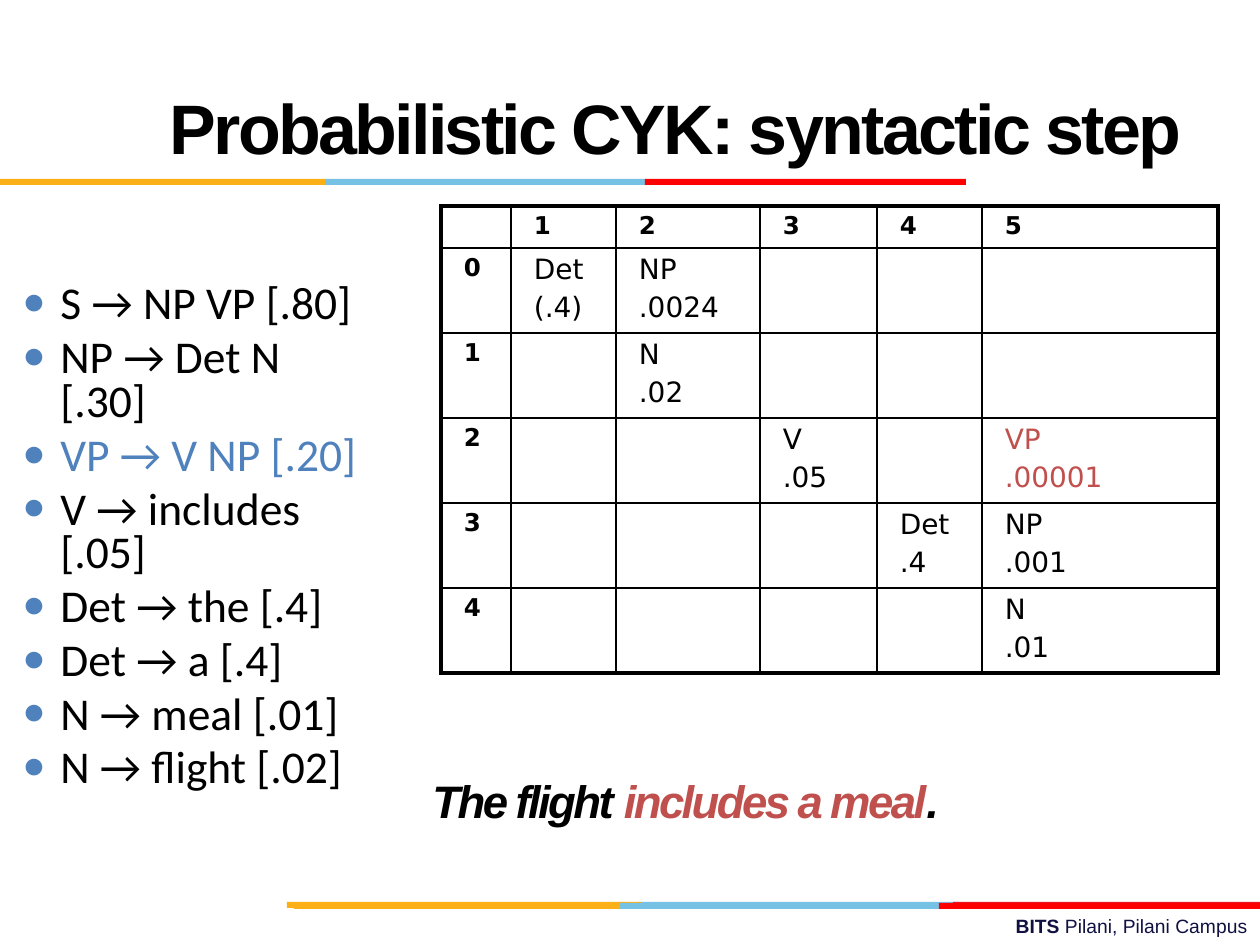
import pptx
import pptx.util
import pptx.dml.color
import pptx.enum.shapes
import pptx.enum.text
import pptx.oxml.ns
from dataclasses import dataclass
from lxml import etree


@dataclass(frozen=True)
class Theme:
    black: str = "000000"
    blue: str = "4F81BD"
    red: str = "C0504D"
    navy: str = "101141"
    gold_bar: str = "FCB017"
    sky_bar: str = "76C2E5"
    crimson_bar: str = "E31C24"
    red_bar: str = "FF0000"
    heading_font: str = "Arial"
    body_font: str = "Calibri"
    table_font: str = "DejaVu Sans"
    title_size: int = 40
    body_size: int = 26
    label_size: int = 14
    entry_size: int = 16
    footer_size: int = 11
    thick: float = 2.25
    thin: float = 1


THEME = Theme()
EMU_PER_PX = 914400 // 126
SLIDE_SIZE = (1260, 945)

TITLE = "Probabilistic CYK: syntactic step"
RULES = [
    ("S → NP VP [.80]", THEME.black),
    ("NP → Det N [.30]", THEME.black),
    ("VP → V NP [.20]", THEME.blue),
    ("V → includes [.05]", THEME.black),
    ("Det → the [.4]", THEME.black),
    ("Det → a [.4]", THEME.black),
    ("N → meal [.01]", THEME.black),
    ("N → flight [.02]", THEME.black),
]
CHART = [
    ["", "1", "2", "3", "4", "5"],
    ["0", "Det\n(.4)", "NP\n.0024", "", "", ""],
    ["1", "", "N\n.02", "", "", ""],
    ["2", "", "", "V\n.05", "", "VP\n.00001"],
    ["3", "", "", "", "Det\n.4", "NP\n.001"],
    ["4", "", "", "", "", "N\n.01"],
]
NEW_ENTRY = (3, 5)
COLUMN_WIDTHS = [70, 105, 144, 117, 105, 236]
ROW_HEIGHTS = [42] + [85] * 5
SENTENCE = [("The flight ", THEME.black), ("includes a meal", THEME.red), (".", THEME.black)]
FOOTER = [("BITS ", True), ("Pilani, Pilani Campus", False)]
BARS = [
    (638, 902, 321, THEME.sky_bar),
    (953, 902, 307, THEME.crimson_bar),
    (287, 902, 355, THEME.gold_bar),
    (620, 903, 321, THEME.sky_bar),
    (294, 903, 326, THEME.gold_bar),
    (939, 903, 321, THEME.red_bar),
    (325, 179, 321, THEME.sky_bar),
    (0, 179, 325, THEME.gold_bar),
    (645, 179, 321, THEME.red_bar),
]
BAR_HEIGHT = 6


def px(value):
    return pptx.util.Emu(value * EMU_PER_PX)


def rgb(color):
    return pptx.dml.color.RGBColor.from_string(color)


def style_run(run, font, size, color, bold=False, italic=False, spacing=None):
    run.font.name = font
    run.font.size = pptx.util.Pt(size)
    run.font.color.rgb = rgb(color)
    run.font.bold = bold
    run.font.italic = italic
    if spacing is not None:
        run.font._element.set("spc", str(round(spacing * 100)))


def add_run(paragraph, text, *style, **options):
    run = paragraph.add_run()
    run.text = text
    style_run(run, *style, **options)


def add_text_box(slide, box, anchor=pptx.enum.text.MSO_ANCHOR.TOP):
    text_frame = slide.shapes.add_textbox(*map(px, box)).text_frame
    text_frame.word_wrap = True
    text_frame.vertical_anchor = anchor
    return text_frame


def add_bullet(paragraph):
    properties = paragraph._p.get_or_add_pPr()
    properties.set("marL", str(px(38)))
    properties.set("indent", str(px(-38)))
    qn = pptx.oxml.ns.qn
    color = etree.SubElement(properties, qn("a:buClr"))
    etree.SubElement(color, qn("a:srgbClr"), val=THEME.blue)
    etree.SubElement(properties, qn("a:buSzPct"), val="85000")
    etree.SubElement(properties, qn("a:buFont"), typeface=THEME.heading_font)
    etree.SubElement(properties, qn("a:buChar"), char="●")


def set_borders(cell, outer_sides):
    qn = pptx.oxml.ns.qn
    properties = cell._tc.get_or_add_tcPr()
    for position, side in enumerate("LRTB"):
        width = THEME.thick if side in outer_sides else THEME.thin
        line = etree.Element(qn(f"a:ln{side}"), w=str(pptx.util.Pt(width)))
        fill = etree.SubElement(line, qn("a:solidFill"))
        etree.SubElement(fill, qn("a:srgbClr"), val=THEME.black)
        properties.insert(position, line)


def add_bars(slide):
    for left, top, width, color in BARS:
        bar = slide.shapes.add_shape(
            pptx.enum.shapes.MSO_SHAPE.RECTANGLE, *map(px, (left, top, width, BAR_HEIGHT)))
        bar.shadow.inherit = False
        bar.fill.solid()
        bar.fill.fore_color.rgb = rgb(color)
        bar.line.fill.background()


def fill_cell(cell, text, is_label, color):
    cell.margin_left = cell.margin_right = px(23)
    cell.margin_top = cell.margin_bottom = px(6)
    cell.fill.background()
    size = THEME.label_size if is_label else THEME.entry_size
    cell.text_frame.text = text
    for index, paragraph in enumerate(cell.text_frame.paragraphs):
        if index:
            paragraph.space_before = pptx.util.Pt(size * 0.2)
        for run in paragraph.runs:
            style_run(run, THEME.table_font, size, color, bold=is_label)
        if not text:
            paragraph._p.get_or_add_endParaRPr().set("sz", str(size * 100))


def add_parse_table(slide):
    last_row, last_column = len(CHART) - 1, len(CHART[0]) - 1
    box = (441, 206, sum(COLUMN_WIDTHS), sum(ROW_HEIGHTS))
    table = slide.shapes.add_table(last_row + 1, last_column + 1, *map(px, box)).table
    table.first_row = table.horz_banding = False
    for column, width in zip(table.columns, COLUMN_WIDTHS):
        column.width = px(width)
    for row, height in zip(table.rows, ROW_HEIGHTS):
        row.height = px(height)
    for r, texts in enumerate(CHART):
        for c, text in enumerate(texts):
            cell = table.cell(r, c)
            color = THEME.red if (r, c) == NEW_ENTRY else THEME.black
            fill_cell(cell, text, r == 0 or c == 0, color)
            edges = {"L": c == 0, "R": c == last_column, "T": r == 0, "B": r == last_row}
            set_borders(cell, [side for side, outer in edges.items() if outer])


def add_rules(slide):
    text_frame = add_text_box(slide, (10, 212, 368, 630))
    text_frame.margin_top = px(73)
    for index, (text, color) in enumerate(RULES):
        paragraph = text_frame.add_paragraph() if index else text_frame.paragraphs[0]
        add_bullet(paragraph)
        paragraph.line_spacing = 0.8
        if index:
            paragraph.space_before = pptx.util.Pt(5.8)
        add_run(paragraph, text, THEME.body_font, THEME.body_size, color)


def main():
    presentation = pptx.Presentation()
    presentation.slide_width, presentation.slide_height = map(px, SLIDE_SIZE)
    slide = presentation.slides.add_slide(presentation.slide_layouts[6])
    middle = pptx.enum.text.MSO_ANCHOR.MIDDLE

    footer = add_text_box(slide, (451, 908, 809, 37)).paragraphs[0]
    footer.alignment = pptx.enum.text.PP_ALIGN.RIGHT
    for text, bold in FOOTER:
        add_run(footer, text, THEME.heading_font, THEME.footer_size, THEME.navy, bold=bold)
    add_bars(slide)
    add_parse_table(slide)

    sentence = add_text_box(slide, (420, 725, 840, 157), middle).paragraphs[0]
    sentence.line_spacing = 0.9
    for text, color in SENTENCE:
        add_run(sentence, text, THEME.heading_font, THEME.body_size, color,
                bold=True, italic=True, spacing=-1.5)
    title = add_text_box(slide, (157, 42, 1103, 168), middle).paragraphs[0]
    add_run(title, TITLE, THEME.heading_font, THEME.title_size, THEME.black,
            bold=True, spacing=-1.5)
    add_rules(slide)
    presentation.save("out.pptx")


if __name__ == "__main__":
    main()
